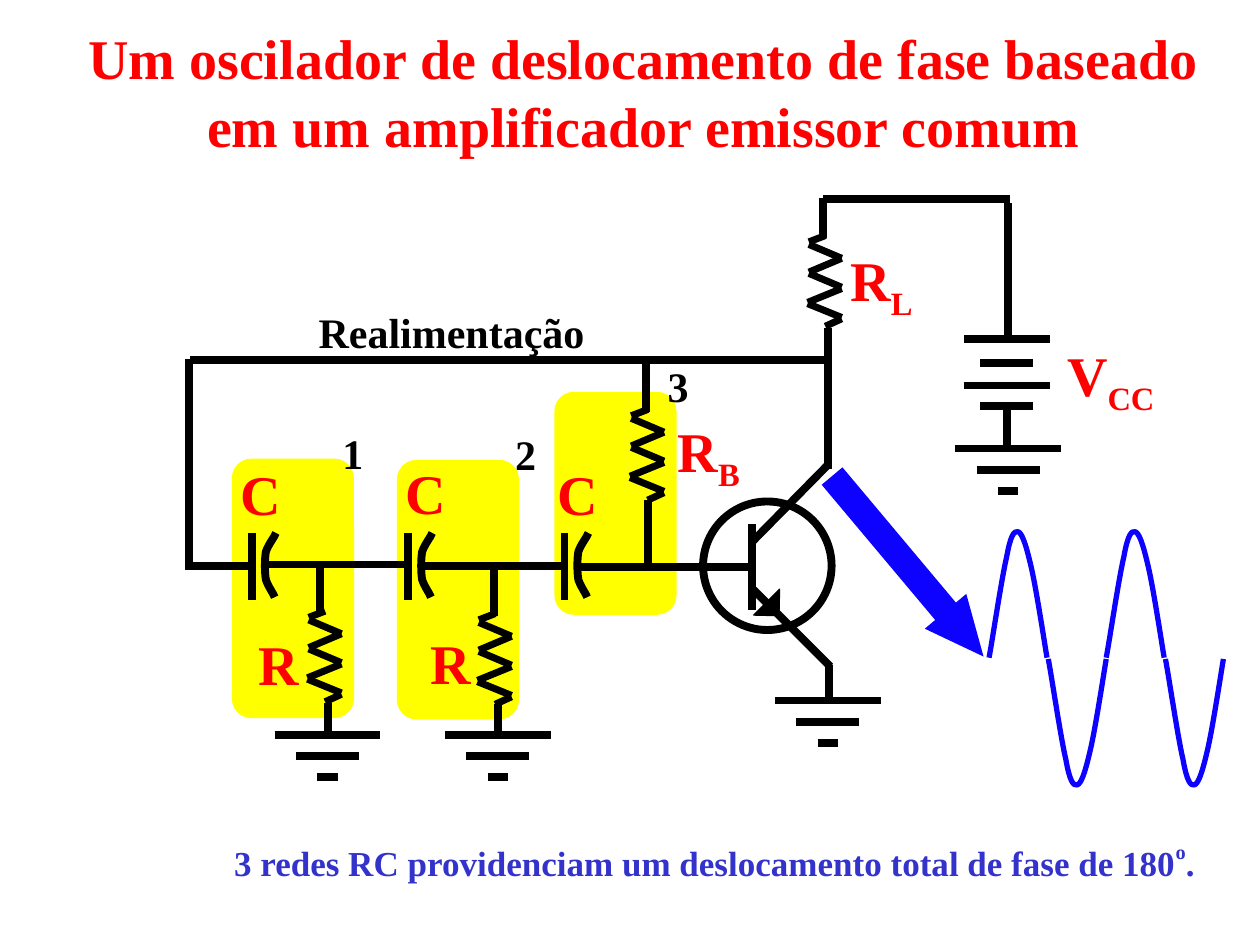
from dataclasses import dataclass

from lxml import etree
from pptx import Presentation, util as u
from pptx.dml.color import RGBColor
from pptx.enum import shapes as kinds, text as modes
from pptx.oxml.ns import qn

PX = 9144  # EMU in one px, at 100 px to the inch


@dataclass(frozen=True)
class Theme:
    face: str = "Times New Roman"
    ink: str = "000000"
    red: str = "FF0000"
    blue: str = "0D01FF"
    note: str = "3333CC"
    panel: str = "FFFF00"
    big: int = 32
    mid: int = 24
    small: int = 20
    wire: float = 4.5
    zigzag: float = 4
    wave: float = 3


T = Theme()


def px(*nums):
    return [u.Emu(n * PX) for n in nums]


def rgb(code):
    return RGBColor.from_string(code)


@dataclass
class Area:
    """Part of the slide, drawn on in px from its own left top corner."""
    items: object
    x: int
    y: int

    def sub(self, x, y):
        return Area(self.items, self.x + x, self.y + y)

    def line(self, x1, y1, x2, y2, width=T.wire):
        ends = px(self.x + x1, self.y + y1, self.x + x2, self.y + y2)
        wire = self.items.add_connector(kinds.MSO_CONNECTOR.STRAIGHT, *ends)
        wire.line.color.rgb = rgb(T.ink)
        wire.line.width = u.Pt(width)
        etree.SubElement(wire._element.spPr, qn("a:effectLst"))

    def lines(self, rows, width=T.wire):
        for row in rows:
            self.line(*row, width)

    def shape(self, kind, x, y, w, h, fill=None, line=None, width=T.wire):
        form = self.items.add_shape(kind, *px(self.x + x, self.y + y, w, h))
        paint(form, fill, line, width)
        return form

    def curve(self, dots, color, width):
        """Open Bezier curve: a start, then three points for each arc."""
        first, *rest = [(self.x + x, self.y + y) for x, y in dots]
        pen = self.items.build_freeform(*first, scale=PX)
        pen.add_line_segments(rest, close=False)
        form = pen.convert_to_shape()
        paint(form, None, color, width)
        steps = form._element.findall(".//" + qn("a:lnTo"))
        for i in range(0, len(steps), 3):
            arc = etree.Element(qn("a:cubicBezTo"))
            steps[i].addprevious(arc)
            for step in steps[i:i + 3]:
                arc.append(step[0])
                step.getparent().remove(step)

    def text(self, x, y, w, h, *rows, size=T.big, color=T.red,
             align=modes.PP_ALIGN.LEFT):
        """Each row is a list of runs: words, or (words, baseline percent)."""
        box = self.items.add_textbox(*px(self.x + x, self.y + y, w, h))
        frame = box.text_frame
        frame.word_wrap = False
        frame.auto_size = modes.MSO_AUTO_SIZE.SHAPE_TO_FIT_TEXT
        for i, row in enumerate(rows):
            para = frame.add_paragraph() if i else frame.paragraphs[0]
            para.alignment = align
            for part in row:
                words, base = (part, 0) if isinstance(part, str) else part
                run = para.add_run()
                run.text = words
                font = run.font
                font.name, font.size, font.bold = T.face, u.Pt(size), True
                font.color.rgb = rgb(color)
                if base:
                    run._r.get_or_add_rPr().set("baseline", str(base * 1000))


def paint(form, fill, line, width):
    form.shadow.inherit = False
    if fill:
        form.fill.solid()
        form.fill.fore_color.rgb = rgb(fill)
    else:
        form.fill.background()
    if line:
        form.line.color.rgb = rgb(line)
        form.line.width = u.Pt(width)
    else:
        form.line.fill.background()


def ground(area):
    for i, half in enumerate((42, 25, 8)):
        area.line(42 - half, i * 17, 42 + half, i * 17)


def resistor(area):
    area.lines([(1, 5, 14, 0), (1, 7, 27, 18), (1, 29, 27, 18),
                (1, 30, 27, 41), (0, 53, 27, 42), (0, 54, 27, 65),
                (14, 72, 27, 66)], T.zigzag)


def capacitor(area):
    area.line(0, 0, 0, 53)
    area.curve([(19, 0), (18, 3), (13, 9), (11, 15), (10, 21), (10, 31),
                (11, 37), (13, 43), (17, 48), (18, 51)], T.ink, T.wire)


def network(area):
    """Three RC stages and the feedback wire."""
    for box in ((340, 111, 97, 177), (215, 165, 97, 206), (84, 164, 97, 206)):
        panel = area.shape(kinds.MSO_SHAPE.ROUNDED_RECTANGLE, *box, T.panel)
        panel.adjustments[0] = 0.16
    area.lines([
        (411, 86, 51, 86), (411, 86, 557, 86), (50, 85, 50, 250),
        (99, 249, 47, 249), (223, 248, 109, 248), (347, 249, 237, 249),
        (494, 250, 359, 250), (154, 287, 154, 249), (292, 289, 292, 251),
        (160, 358, 160, 384), (295, 359, 295, 386), (413, 86, 413, 127),
        (414, 197, 414, 251)])
    for spot in ((144, 285), (279, 287), (400, 125)):
        resistor(area.sub(*spot))
    for x in (118, 253):
        ground(area.sub(x, 383))
    for x in (100, 224, 348):
        capacitor(area.sub(x, 223))
    for name, x, y in (("C", 81, 160), ("C", 212, 159), ("C", 233 + 100, 160),
                       ("R", 95, 295), ("R", 232, 294)):
        area.text(x, y, 52, 64, [name])
    area.text(428, 126, 69, 71, ["R", ("B", -25)])
    for name, x, y, w in (("Realimentação", 143, 38, 231), ("1", 162, 134, 36),
                          ("2", 299, 135, 36), ("3", 420, 81, 36)):
        area.text(x, y, w, 50, [name], size=T.mid, color=T.ink)


def stage(area):
    """Transistor with its load resistor."""
    area.shape(kinds.MSO_SHAPE.OVAL, 58, 298, 102, 102, line=T.ink)
    tip = area.shape(kinds.MSO_SHAPE.RIGHT_TRIANGLE, 98, 368, 21, 20,
                     T.ink, T.ink, 0.75)
    tip.rotation = 91.3
    for side in ("flipH", "flipV"):
        tip._element.spPr.xfrm.set(side, "1")
    area.lines([(98, 368, 159, 429), (97, 330, 158, 268), (97, 316, 97, 384),
                (157, 160, 157, 272), (158, 428, 158, 453),
                (153, 89, 153, 57)])
    resistor(area.sub(141, 87))
    ground(area.sub(115, 456))
    area.text(165, 90, 69, 71, ["R", ("L", -25)])


def supply(area):
    area.lines([(3, 8, 152, 8), (150, 11, 150, 117), (149, 208, 149, 174)])
    for y, half in ((119, 34), (138, 21), (156, 34), (172, 21)):
        area.line(149 - half, y, 149 + half, y)
    ground(area.sub(108, 206))
    area.text(187, 115, 89, 71, ["V", ("CC", -25)])


def output(area):
    """Arrow and the sine wave it points to."""
    arrow = area.shape(kinds.MSO_SHAPE.RIGHT_ARROW, 7, 8, 187, 43, T.blue)
    arrow.rotation = 50
    arrow.adjustments[1] = 1.09
    half = [(46, 0), (44, 12), (37, 58), (33, 74), (29, 91), (26, 99),
            (23, 100), (20, 101), (17, 97), (14, 80), (10, 63), (3, 16),
            (0, 0)]
    for i in range(4):
        sign = 1 if i % 2 else -1
        crest = area.sub(165 + round(i * 46.67), 102 + i % 2)
        crest.curve([(x, sign * y) for x, y in half], T.blue, T.wave)


def words(area):
    area.text(176, 661, 783, 46,
              ["3 redes RC providenciam um deslocamento total de fase de 180",
               ("o", 50), "."], size=T.small, color=T.note)
    area.text(60, 14, 913, 117,
              ["Um oscilador de deslocamento de fase baseado "],
              ["em um amplificador emissor comum "],
              align=modes.PP_ALIGN.CENTER)


def main():
    deck = Presentation()
    deck.slide_width, deck.slide_height = px(1000, 750)
    slide = deck.slides.add_slide(deck.slide_layouts[6])
    for draw, x, y in ((network, 100, 200), (stage, 500, 100),
                       (supply, 650, 150), (output, 620, 420), (words, 0, 0)):
        draw(Area(slide.shapes, x, y))
    deck.save("out.pptx")


if __name__ == "__main__":
    main()
